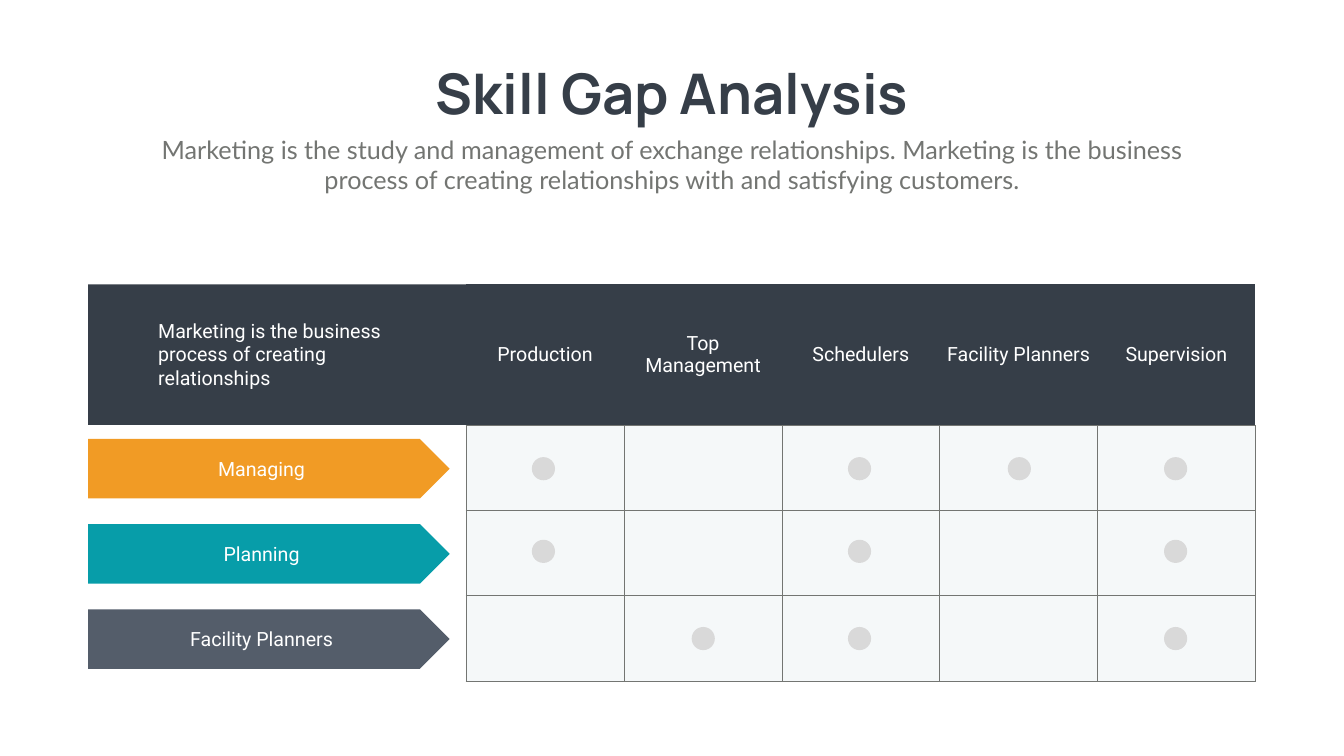
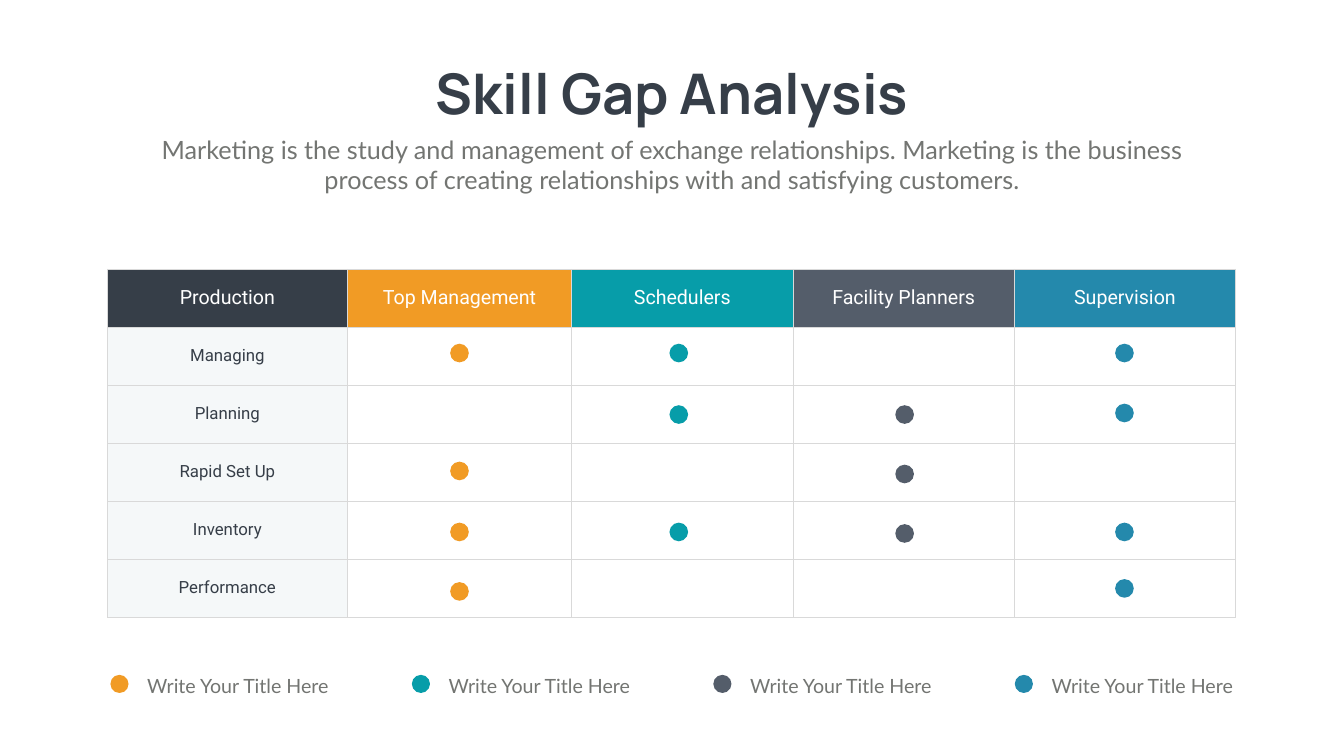
from dataclasses import dataclass
from typing import NamedTuple

from lxml.etree import SubElement
from pptx import Presentation
from pptx.dml.color import RGBColor
from pptx.enum.shapes import MSO_SHAPE as Preset
from pptx.enum.text import MSO_ANCHOR as Anchor, MSO_AUTO_SIZE as AutoSize, PP_ALIGN as Align
from pptx.oxml.ns import qn
from pptx.util import Pt

EMU_PER_PX = 9144


@dataclass(frozen=True)
class Theme:
    dark: str = "363E48"
    orange: str = "F19B25"
    teal: str = "079DA9"
    slate: str = "545D6A"
    blue: str = "2489AC"
    gray: str = "737572"
    silver: str = "D9D9D9"
    pale: str = "F5F8F9"
    white: str = "FFFFFF"
    title_size: int = 80
    subtitle_size: int = 36
    label_size: int = 28
    row_size: int = 24
    legend_line: float = 40.8


THEME = Theme()


class Style(NamedTuple):
    font: str
    size: int
    color: str
    align: Align = Align.CENTER
    bold: bool = False


class Box(NamedTuple):
    left: int
    top: int
    width: int
    height: int


class Cell(NamedTuple):
    text: str
    fill: str
    style: Style
    borders: dict[str, str | None]


class DotColumn(NamedTuple):
    left: int
    color: str
    tops: tuple[int, ...]


TITLE = Style("Manrope", THEME.title_size, THEME.dark, bold=True)
SUBTITLE = Style("Lato", THEME.subtitle_size, THEME.gray)
LABEL = Style("Roboto", THEME.label_size, THEME.white)
INTRO = LABEL._replace(align=Align.LEFT)
ROW_LABEL = Style("Roboto", THEME.row_size, THEME.dark)
LEGEND = Style("Lato", THEME.label_size, THEME.gray, Align.LEFT)

SKILLS = ("Production", "Top Management", "Schedulers", "Facility Planners", "Supervision")
COLUMN_COLORS = (THEME.dark, THEME.orange, THEME.teal, THEME.slate, THEME.blue)


def px(length: int) -> int:
    return length * EMU_PER_PX


def place(box: Box) -> tuple[int, ...]:
    return tuple(px(length) for length in box)


def style_paragraph(para, style: Style) -> None:
    para.alignment = style.align
    font = para.font
    font.name = style.font
    font.size = Pt(style.size)
    font.bold = style.bold
    font.color.rgb = RGBColor.from_string(style.color)


def write(frame, text: str, style: Style, anchor: Anchor = Anchor.TOP):
    frame.word_wrap = True
    frame.auto_size = AutoSize.NONE
    frame.vertical_anchor = anchor
    para = frame.paragraphs[0]
    para.text = text
    para.space_before = Pt(0)
    style_paragraph(para, style)
    return para


def add_filled(page, preset: Preset, box: Box, color: str):
    shape = page.shapes.add_shape(preset, *place(box))
    shape.shadow.inherit = False
    shape.fill.solid()
    shape.fill.fore_color.rgb = RGBColor.from_string(color)
    shape.line.fill.background()
    return shape


def add_dot(page, left: int, top: int, size: int, color: str) -> None:
    add_filled(page, Preset.OVAL, Box(left, top, size, size), color)


def add_dots(page, columns: list[DotColumn], size: int) -> None:
    for column in columns:
        for top in column.tops:
            add_dot(page, column.left, top, size, column.color)


def add_text(page, box: Box, text: str, style: Style):
    frame = page.shapes.add_textbox(*place(box)).text_frame
    return frame, write(frame, text, style)


def all_borders(color: str | None) -> dict[str, str | None]:
    return dict.fromkeys("LRTB", color)


def set_borders(table_cell, borders: dict[str, str | None]) -> None:
    properties = table_cell._tc.get_or_add_tcPr()
    for side, color in borders.items():
        line = SubElement(properties, qn(f"a:ln{side}"), w=str(Pt(1)))
        if color is None:
            SubElement(line, qn("a:noFill"))
        else:
            SubElement(SubElement(line, qn("a:solidFill")), qn("a:srgbClr"), val=color)


def add_grid(page, left: int, top: int, widths: list[int], heights: list[int],
             rows: list[list[Cell]]) -> None:
    box = Box(left, top, sum(widths), sum(heights))
    table = page.shapes.add_table(len(rows), len(widths), *place(box)).table
    table.horz_banding = False
    for column, width in zip(table.columns, widths):
        column.width = px(width)
    for row, height, cells in zip(table.rows, heights, rows):
        row.height = px(height)
        for table_cell, cell in zip(row.cells, cells):
            set_borders(table_cell, cell.borders)
            table_cell.fill.solid()
            table_cell.fill.fore_color.rgb = RGBColor.from_string(cell.fill)
            table_cell.vertical_anchor = Anchor.MIDDLE
            para = table_cell.text_frame.paragraphs[0]
            para.text = cell.text
            style_paragraph(para, cell.style)


def add_page(deck):
    page = deck.slides.add_slide(deck.slide_layouts[0])
    headings = (
        (Box(813, 112, 1041, 145), "Skill Gap Analysis", TITLE),
        (Box(292, 261, 2082, 131),
         "Marketing is the study and management of exchange relationships. "
         "Marketing is the business process of creating relationships with "
         "and satisfying customers.", SUBTITLE),
    )
    for holder, (box, text, style) in zip(page.placeholders, headings):
        holder.left, holder.top, holder.width, holder.height = place(box)
        write(holder.text_frame, text, style)
    return page


def build_arrow_matrix(deck) -> None:
    page = add_page(deck)
    add_filled(page, Preset.RECTANGLE, Box(175, 564, 954, 279), THEME.dark)

    header_borders = all_borders(None) | {"B": THEME.gray}
    header = [Cell(skill, THEME.dark, LABEL, header_borders) for skill in SKILLS]
    empty = Cell("", THEME.pale, LABEL, all_borders(THEME.gray))
    row_height = 169
    add_grid(page, 924, 564, [314] + [313] * 4, [280] + [row_height] * 3,
             [header] + [[empty] * len(SKILLS)] * 3)

    arrows = (("Managing", THEME.orange), ("Planning", THEME.teal),
              ("Facility Planners", THEME.slate))
    for index, (text, color) in enumerate(arrows):
        box = Box(175, 871 + index * row_height, 717, 118)
        arrow = add_filled(page, Preset.PENTAGON, box, color)
        write(arrow.text_frame, text, LABEL, Anchor.MIDDLE)

    add_text(page, Box(304, 627, 491, 151),
             "Marketing is the business process of creating relationships", INTRO)

    managing, planning, facility = 907, 1071, 1244
    add_dots(page, [
        DotColumn(1055, THEME.silver, (managing, planning)),
        DotColumn(1372, THEME.silver, (facility,)),
        DotColumn(1682, THEME.silver, (managing, planning, facility)),
        DotColumn(1999, THEME.silver, (managing,)),
        DotColumn(2309, THEME.silver, (managing, planning, facility)),
    ], 46)


def add_legend(page) -> None:
    for index, color in enumerate(COLUMN_COLORS[1:]):
        left = 219 + index * 598
        add_dot(page, left, 1339, 36, color)
        frame, para = add_text(page, Box(left + 49, 1315, 425, 75),
                               "Write Your Title Here", LEGEND)
        frame.margin_left = frame.margin_right = px(24)
        frame.margin_top = frame.margin_bottom = px(12)
        para.line_spacing = Pt(THEME.legend_line)


def build_color_matrix(deck) -> None:
    page = add_page(deck)
    borders = all_borders(THEME.silver)
    header = [Cell(skill, color, LABEL, borders)
              for skill, color in zip(SKILLS, COLUMN_COLORS)]
    empty = Cell("", THEME.white, ROW_LABEL, borders)
    tasks = ("Managing", "Planning", "Rapid Set Up", "Inventory", "Performance")
    body = [[Cell(task, THEME.pale, ROW_LABEL, borders)] + [empty] * 4 for task in tasks]
    add_grid(page, 213, 534, [476, 445] + [439] * 3, [115] * 6, [header] + body)

    add_dots(page, [
        DotColumn(893, THEME.orange, (682, 916, 1037, 1155)),
        DotColumn(1328, THEME.teal, (682, 804, 1037)),
        DotColumn(1776, THEME.slate, (804, 922, 1040)),
        DotColumn(2212, THEME.blue, (682, 801, 1037, 1149)),
    ], 37)
    add_legend(page)


def main() -> None:
    deck = Presentation()
    deck.slide_width, deck.slide_height = px(2666), px(1500)
    build_arrow_matrix(deck)
    build_color_matrix(deck)
    deck.save("out.pptx")


if __name__ == "__main__":
    main()
